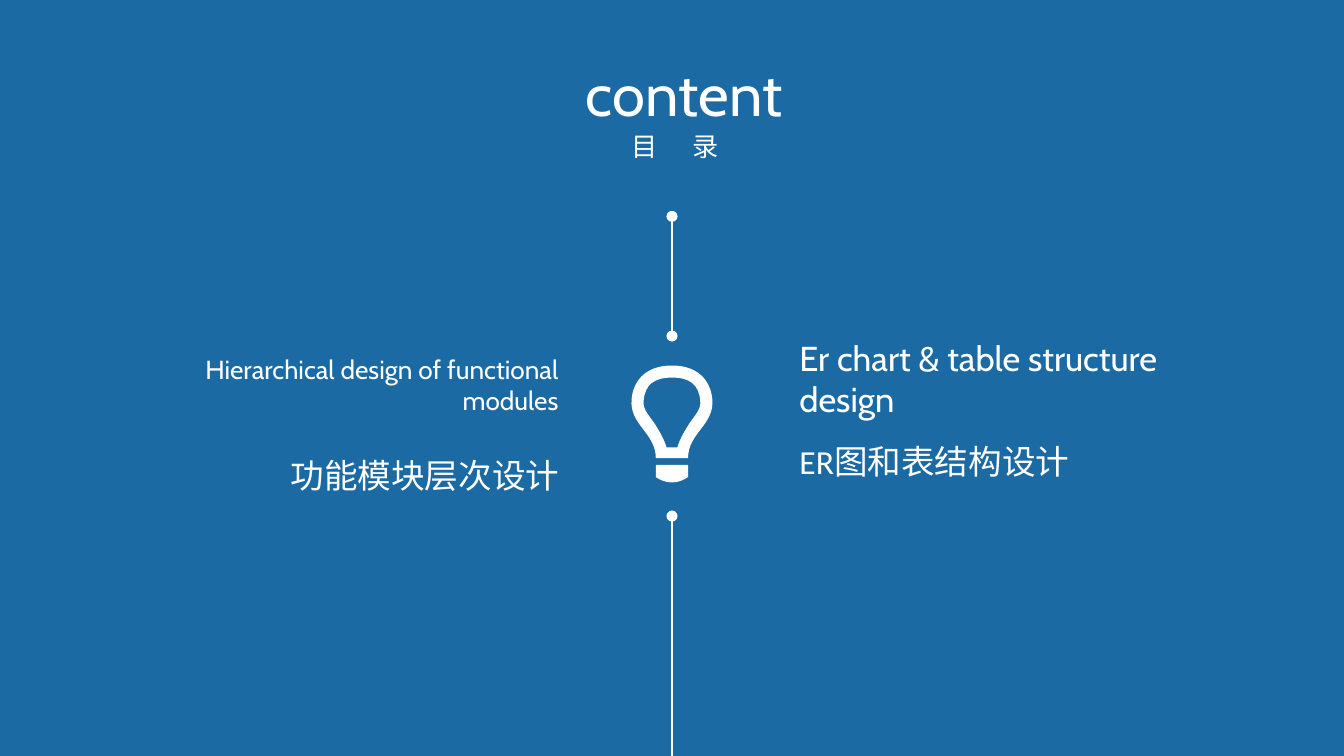
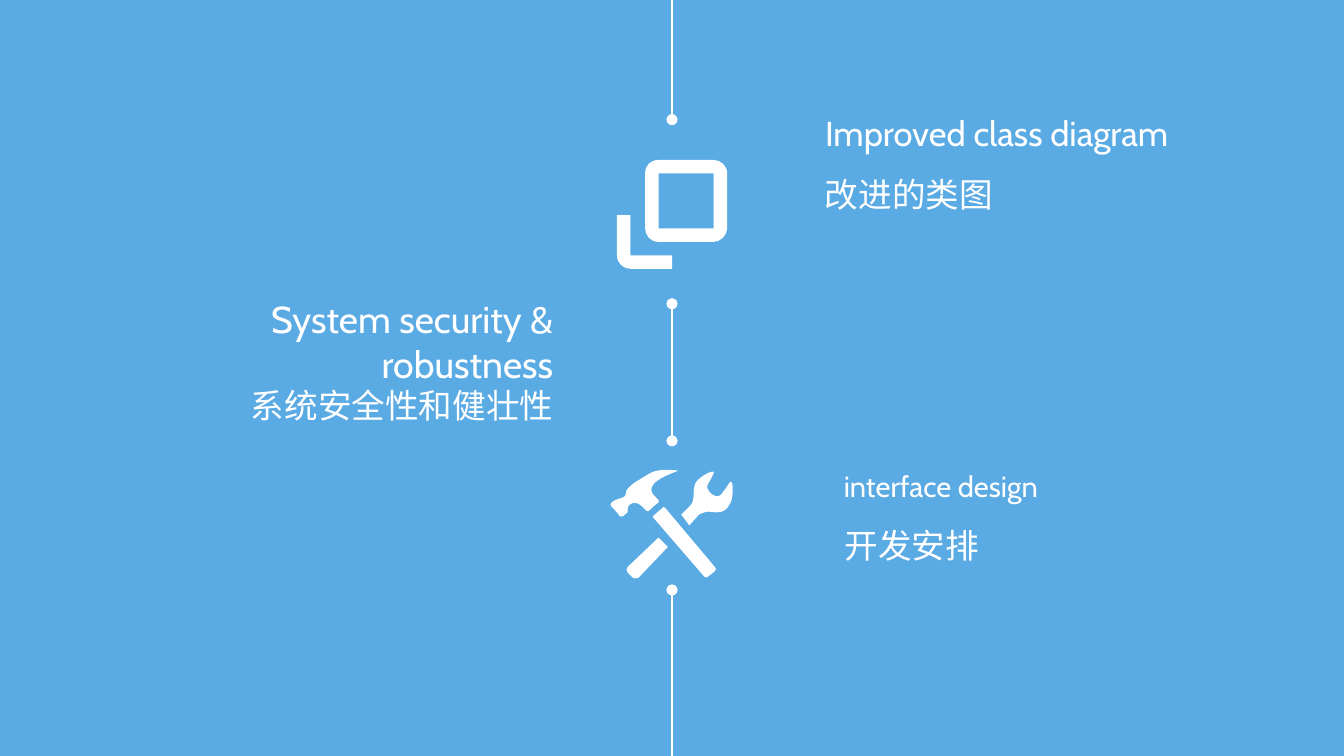
import pptx
import pptx.dml.color
import pptx.enum.shapes
import pptx.enum.text
import pptx.oxml
import pptx.oxml.ns
import pptx.oxml.xmlchemy
import pptx.util

RGBColor = pptx.dml.color.RGBColor
Align = pptx.enum.text.PP_ALIGN
Anchor = pptx.enum.text.MSO_ANCHOR

NAVY = RGBColor(0x1B, 0x6A, 0xA3)
SKY = RGBColor(0x5A, 0xAA, 0xE4)
WHITE = RGBColor(0xFF, 0xFF, 0xFF)
LATIN_FONT = "Cabin"
CHINESE_FONT = "Calibri"

# The grid: square cells, 100 columns by 56.25 rows
COLS, ROWS = 100, 56.25
CELL = pptx.util.Inches(0.1)
SPINE_COL = COLS / 2

# Icon outlines in tenths of a cell: each contour lists corners (x, y)
# and cubic curves (x1, y1, x2, y2, x, y).
BULB = [
    [(488, 355), (491, 357, 495, 359, 500, 359), (505, 359, 509, 357, 512, 355),
     (512, 346), (488, 346)],
    [(512, 341), (512, 322, 532, 316, 530, 297), (529, 285, 521, 272, 500, 272),
     (479, 272, 471, 285, 470, 297), (468, 316, 488, 322, 488, 341)],
    [(479, 298), (480, 286, 487, 281, 500, 281), (513, 281, 520, 286, 521, 298),
     (522, 304, 518, 308, 513, 315), (510, 320, 506, 326, 504, 333), (496, 333),
     (494, 326, 490, 320, 487, 315), (482, 308, 478, 304, 479, 298)],
]
WINDOWS = [
    [(531, 119), (490, 119), (484, 119, 480, 123, 480, 129), (480, 170),
     (480, 175, 484, 180, 490, 180), (531, 180), (536, 180, 541, 175, 541, 170),
     (541, 129), (541, 123, 536, 119, 531, 119)],
    [(531, 170), (490, 170), (490, 129), (531, 129)],
    [(469, 160), (459, 160), (459, 190), (459, 196, 464, 200, 469, 200),
     (500, 200), (500, 190), (469, 190)],
]
HAMMER_HEAD = [
    (468, 376), (473, 372, 476, 375, 481, 380), (482, 381, 482, 380, 483, 380),
    (483, 380, 489, 374, 490, 374), (490, 373, 490, 373, 490, 372),
    (489, 372, 488, 369, 486, 368), (478, 357, 509, 350, 504, 350),
    (502, 350, 492, 349, 491, 350), (485, 350, 478, 356, 474, 358),
    (469, 361, 467, 364, 467, 364), (465, 365, 467, 368, 464, 370),
    (462, 372, 460, 370, 458, 372), (458, 372, 455, 374, 455, 374),
    (454, 375, 454, 376, 455, 377), (455, 377, 461, 383, 461, 384),
    (462, 384, 463, 385, 464, 384), (464, 383, 467, 382, 467, 381),
    (467, 381, 467, 377, 468, 376),
]
HAMMER_HANDLE = [
    (495, 378), (494, 377, 493, 377, 493, 378), (486, 384),
    (486, 384, 486, 385, 486, 385), (524, 429), (525, 430, 526, 430, 527, 429),
    (532, 425), (533, 424, 533, 423, 532, 422),
]
WRENCH_HEAD = [
    (545, 360), (545, 358, 543, 358, 543, 359), (542, 360, 540, 364, 538, 366),
    (537, 368, 535, 371, 530, 368), (525, 364, 526, 361, 527, 360),
    (528, 358, 531, 353, 531, 352), (532, 352, 531, 350, 530, 351),
    (528, 351, 518, 356, 517, 361), (515, 367, 518, 372, 513, 377), (507, 383),
    (513, 391), (520, 383), (522, 382, 526, 380, 530, 381),
    (537, 382, 541, 380, 543, 375), (546, 371, 545, 362, 545, 360),
]
WRENCH_HANDLE = [
    (467, 422), (466, 423, 466, 425, 467, 426), (471, 430),
    (472, 431, 473, 430, 475, 430), (497, 407), (490, 400),
]
TOOLS = [HAMMER_HEAD, HAMMER_HANDLE, WRENCH_HEAD, WRENCH_HANDLE]


def cells(*values):
    return [pptx.util.Emu(round(v * CELL)) for v in values]


def element(tag, **attributes):
    el = pptx.oxml.xmlchemy.OxmlElement(tag)
    for name, value in attributes.items():
        el.set(name, str(value))
    return el


def bend(sp, contours):
    """Turn the straight segments that have control points into curves."""
    nodes = sp._element.xpath(".//a:path/a:moveTo | .//a:path/a:lnTo")
    items = [item for contour in contours for item in contour]
    for node, item in zip(nodes, items):
        if len(item) == 6:
            x1, y1, x2, y2 = cells(*(v / 10 for v in item[:4]))
            node.tag = pptx.oxml.ns.qn("a:cubicBezTo")
            node.insert(0, element("a:pt", x=x1 - sp.left, y=y1 - sp.top))
            node.insert(1, element("a:pt", x=x2 - sp.left, y=y2 - sp.top))


def write(tf, text, size, font=LATIN_FONT, color=WHITE, align=Align.LEFT,
          space_before=0, tracking=0):
    """Write one paragraph; spacing and tracking are in points."""
    p = tf.paragraphs[0]
    p.alignment = align
    if space_before:
        p.space_before = pptx.util.Pt(space_before)
    r = p.add_run()
    r.text = text
    r.font.size = pptx.util.Pt(size)
    r.font.name = font
    r.font.color.rgb = color
    if tracking:
        r.font._element.set("spc", str(round(tracking * 100)))


class Deck:
    def __init__(self):
        self.prs = pptx.Presentation()
        self.prs.slide_width, self.prs.slide_height = cells(COLS, ROWS)
        self.slide = None

    def new_slide(self, color):
        self.slide = self.prs.slides.add_slide(self.prs.slide_layouts[6])
        fill = self.slide.background.fill
        fill.solid()
        fill.fore_color.rgb = color

    def text(self, box, text, size, anchor=Anchor.MIDDLE, **fmt):
        """Place text in a box of (column, row, columns, rows)."""
        tf = self.slide.shapes.add_textbox(*cells(*box)).text_frame
        tf.word_wrap = True
        tf.vertical_anchor = anchor
        write(tf, text, size, **fmt)

    def english(self, box, text, size, align=Align.LEFT):
        self.text(box, text, size, align=align)

    def chinese(self, box, text, align=Align.LEFT):
        self.text(box, text, 18, anchor=Anchor.TOP, font=CHINESE_FONT,
                  align=align, space_before=3.6)

    def spine(self, top, bottom):
        """Draw a piece of the centre line, dotted at ends inside the slide."""
        sp = self.slide.shapes.add_connector(
            pptx.enum.shapes.MSO_CONNECTOR.STRAIGHT,
            *cells(SPINE_COL, top, SPINE_COL, bottom))
        sp.line.color.rgb = WHITE
        sp.line.width = pptx.util.Pt(0.75)
        ln = sp.line._get_or_add_ln()
        for tag, row in (("a:headEnd", top), ("a:tailEnd", bottom)):
            if 0 < row < ROWS:
                ln.append(element(tag, type="oval"))
        sp._element.spPr.append(element("a:effectLst"))

    def icon(self, contours):
        first, *rest = [[tuple(cells(item[-2] / 10, item[-1] / 10))
                         for item in contour] for contour in contours]
        builder = self.slide.shapes.build_freeform(*first[0], scale=1.0)
        builder.add_line_segments(first[1:], close=True)
        for points in rest:
            builder.move_to(*points[0])
            builder.add_line_segments(points[1:], close=True)
        sp = builder.convert_to_shape()
        bend(sp, contours)
        sp.shadow.inherit = False
        sp.fill.solid()
        sp.fill.fore_color.rgb = WHITE
        sp.line.fill.background()


def contents_slide(deck):
    deck.new_slide(NAVY)
    deck.text((5.9, 2.2, 90, 9.4), "content", 32, align=Align.CENTER)
    deck.text((5.25, 8.9, 90, 4), "目 录", 14, align=Align.CENTER, tracking=7.7)
    deck.spine(16.1, 25)
    deck.spine(38.4, ROWS)
    deck.icon(BULB)
    deck.english((9.1, 24.95, 33.45, 7.3),
                 "Hierarchical design of functional modules", 14, Align.RIGHT)
    deck.chinese((15.8, 33.35, 26.8, 5), "功能模块层次设计", Align.RIGHT)
    deck.english((58.5, 24.95, 36, 6.4), "Er chart & table structure design", 18.5)
    deck.chinese((58.5, 32.3, 29.8, 4.3), "ER图和表结构设计")


def contents_continued_slide(deck):
    deck.new_slide(SKY)
    deck.spine(0, 8.9)
    deck.spine(22.6, 32.8)
    deck.spine(43.9, ROWS)
    deck.icon(WINDOWS)
    deck.icon(TOOLS)
    deck.english((7.1, 22.5, 35.05, 5.8), "System security & robustness", 20,
                 Align.RIGHT)
    deck.chinese((15.4, 28.15, 26.75, 4.2), "系统安全性和健壮性", Align.RIGHT)
    deck.english((60.4, 7.95, 30.5, 3.9), "Improved class diagram", 18.5)
    deck.chinese((60.4, 12.45, 31.6, 4.2), "改进的类图")
    deck.english((61.8, 33.75, 31.5, 4.8), "interface design", 15.6)
    deck.chinese((61.85, 38.55, 26.8, 6.1), "开发安排")


def main():
    deck = Deck()
    contents_slide(deck)
    contents_continued_slide(deck)
    deck.prs.save("out.pptx")


if __name__ == "__main__":
    main()
